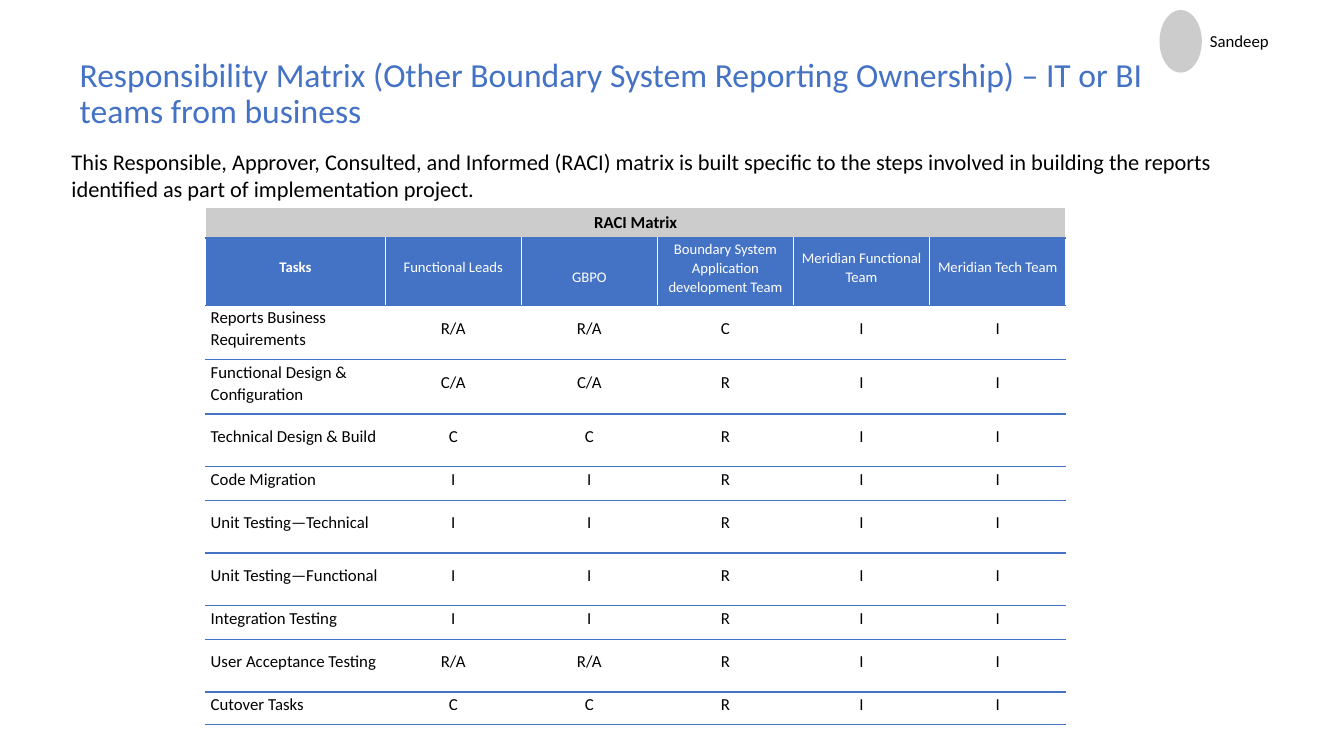
"""Build the RACI responsibility matrix slide."""
from lxml.etree import SubElement
from pptx import Presentation
from pptx.dml.color import RGBColor
from pptx.enum.shapes import MSO_SHAPE
from pptx.enum.text import MSO_ANCHOR, PP_ALIGN
from pptx.oxml.ns import qn
from pptx.util import Inches, Pt

BLUE = RGBColor(0x44, 0x72, 0xC4)
GRAY = RGBColor(0xCC, 0xCC, 0xCC)
BLACK = RGBColor(0, 0, 0)
WHITE = RGBColor(0xFF, 0xFF, 0xFF)

TASK_WIDTH, ROLE_WIDTH = 1.78, 1.35
BANNER, HEADER, TALL, SHORT, LAST = 0.28, 0.5, 0.52, 0.34, 0.2

HEADINGS = ["Tasks", "Functional Leads", "GBPO",
            "Boundary System Application development Team",
            "Meridian Functional Team", "Meridian Tech Team"]
TASKS = [
    (TALL, "Reports Business Requirements", "R/A", "C"),
    (TALL, "Functional Design & Configuration", "C/A", "R"),
    (TALL, "Technical Design & Build", "C", "R"),
    (SHORT, "Code Migration", "I", "R"),
    (TALL, "Unit Testing—Technical", "I", "R"),
    (TALL, "Unit Testing—Functional", "I", "R"),
    (SHORT, "Integration Testing", "I", "R"),
    (TALL, "User Acceptance Testing", "R/A", "R"),
    (LAST, "Cutover Tasks", "C", "R"),
]


def write_text(frame, text, size=12, color=BLACK, bold=False,
               align=PP_ALIGN.LEFT, spacing=1.0):
    frame.word_wrap = True
    para = frame.paragraphs[0]
    para.alignment = align
    para.line_spacing = spacing
    span = para.add_run()
    span.text = text
    span.font.name = "Calibri"
    span.font.size = Pt(size)
    span.font.bold = bold
    span.font.color.rgb = color


def paint_cell(cell, fill, top=BLUE):
    properties = cell._tc.get_or_add_tcPr()
    for side, color in (("L", WHITE), ("R", WHITE), ("T", top), ("B", BLUE)):
        line = SubElement(properties, qn(f"a:ln{side}"), w=str(Pt(1)))
        solid = SubElement(line, qn("a:solidFill"))
        SubElement(solid, qn("a:srgbClr"), val=str(color))
    cell.fill.solid()
    cell.fill.fore_color.rgb = fill
    cell.vertical_anchor = MSO_ANCHOR.MIDDLE


deck = Presentation()
deck.slide_width, deck.slide_height = Inches(13.33), Inches(7.5)
page = deck.slides.add_slide(deck.slide_layouts[5])

title = page.shapes.title
title.left, title.top = Inches(0.69), Inches(0.5)
title.width, title.height = Inches(11.46), Inches(0.87)
title.text_frame.vertical_anchor = MSO_ANCHOR.MIDDLE
write_text(title.text_frame,
           "Responsibility Matrix (Other Boundary System Reporting Ownership) "
           "– IT or BI teams from business", size=24, color=BLUE, spacing=0.9)

intro = page.shapes.add_textbox(Inches(0.61), Inches(1.42), Inches(12.11), Inches(0.64))
write_text(intro.text_frame,
           "This Responsible, Approver, Consulted, and Informed (RACI) matrix is built "
           "specific to the steps involved in building the reports identified as part "
           "of implementation project.", size=16)

heights = [BANNER, HEADER] + [task[0] for task in TASKS]
widths = [TASK_WIDTH] + [ROLE_WIDTH] * 5
matrix = page.shapes.add_table(len(heights), len(widths), Inches(2.04), Inches(2.06),
                               Inches(sum(widths)), Inches(sum(heights))).table
matrix.horz_banding = False
for column, width in zip(matrix.columns, widths):
    column.width = Inches(width)
for row, height in zip(matrix.rows, heights):
    row.height = Inches(height)

for column in range(len(widths)):
    paint_cell(matrix.cell(0, column), GRAY, top=WHITE)
matrix.cell(0, 0).merge(matrix.cell(0, len(widths) - 1))
write_text(matrix.cell(0, 0).text_frame, "RACI Matrix", bold=True, align=PP_ALIGN.CENTER)

lines = [HEADINGS] + [[task, lead, lead, builder, "I", "I"]
                      for _, task, lead, builder in TASKS]
for row, line in enumerate(lines, start=1):
    is_header = row == 1
    for column, text in enumerate(line):
        cell = matrix.cell(row, column)
        paint_cell(cell, BLUE if is_header else WHITE)
        cell.margin_left = cell.margin_right = Inches(0.05)
        cell.margin_top = Inches(0.2 if text == "GBPO" else 0.01)
        cell.margin_bottom = Inches(0.1)
        write_text(cell.text_frame, text, size=10.5 if is_header else 12,
                   color=WHITE if is_header else BLACK,
                   bold=is_header and column == 0, spacing=1.07,
                   align=PP_ALIGN.CENTER if is_header or column else PP_ALIGN.LEFT)

marker = page.shapes.add_shape(MSO_SHAPE.FLOWCHART_CONNECTOR, Inches(11.5), Inches(0.1),
                               Inches(0.42), Inches(0.62))
marker.shadow.inherit = False
marker.fill.solid()
marker.fill.fore_color.rgb = GRAY
marker.line.fill.background()

owner = page.shapes.add_textbox(Inches(11.8), Inches(0.21), Inches(1.36), Inches(0.4))
frame = owner.text_frame
frame.margin_left = frame.margin_right = Inches(0.2)
frame.margin_top = frame.margin_bottom = Inches(0.2)
frame.vertical_anchor = MSO_ANCHOR.MIDDLE
write_text(frame, "Sandeep")

deck.save("out.pptx")
